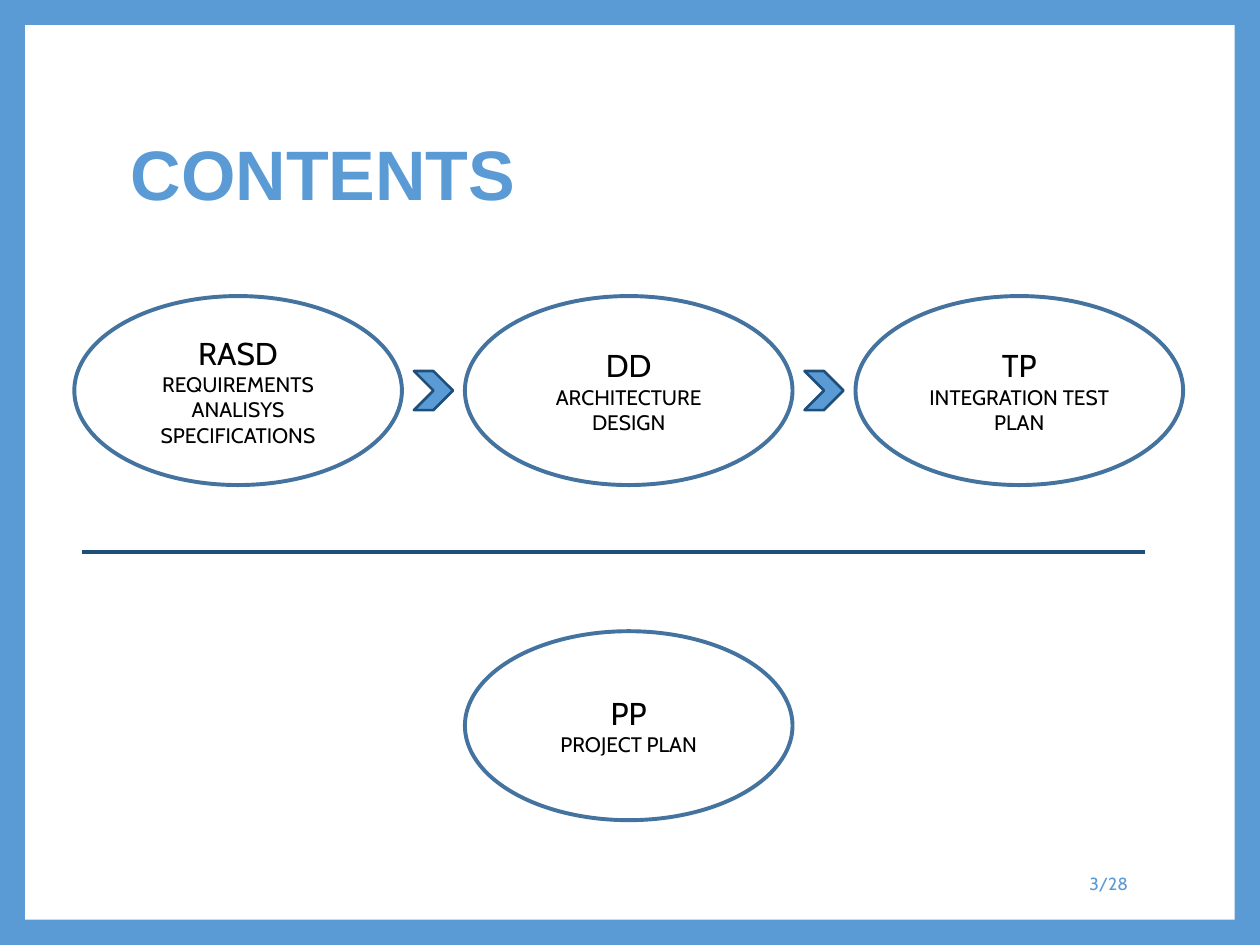
from dataclasses import dataclass

import lxml.etree
import pptx
import pptx.dml.color
import pptx.enum.shapes
import pptx.enum.text
import pptx.util

Inches = pptx.util.Inches
Shape = pptx.enum.shapes.MSO_SHAPE
Align = pptx.enum.text.PP_ALIGN

BLUE, OUTLINE, NAVY = "5B9BD5", "43739E", "1F4E79"
WHITE, BLACK = "FFFFFF", "000000"
COLUMN_LEFT, COLUMN_STEP = 0.59, 3.1
OVAL_WIDTH, OVAL_HEIGHT, CHEVRON_SIZE = 2.6, 1.5, 0.31
TOP_ROW, BOTTOM_ROW = 2.35, 5.01


@dataclass
class Document:
    """A project document shown as an oval on the grid."""

    acronym: str
    meaning: str
    column: int
    top: float

    @property
    def left(self) -> float:
        return COLUMN_LEFT + self.column * COLUMN_STEP


DOCUMENTS = [
    Document("RASD", "REQUIREMENTS ANALISYS SPECIFICATIONS", 0, TOP_ROW),
    Document("DD", "ARCHITECTURE DESIGN", 1, TOP_ROW),
    Document("TP", "INTEGRATION TEST PLAN", 2, TOP_ROW),
    Document("PP", "PROJECT PLAN", 1, BOTTOM_ROW),
]


def color(value: str) -> pptx.dml.color.RGBColor:
    return pptx.dml.color.RGBColor.from_string(value)


def add_run(paragraph, text: str, size: float, fill: str, font: str = "Cabin", bold: bool = False) -> None:
    run = paragraph.add_run()
    run.text = text
    run.font.size = pptx.util.Pt(size)
    run.font.name = font
    run.font.bold = bold
    run.font.color.rgb = color(fill)


def add_shape(slide, kind, left: float, top: float, width: float, height: float,
              fill: str | None = None, line: str | None = None, weight: float = 1):
    shape = slide.shapes.add_shape(kind, Inches(left), Inches(top), Inches(width), Inches(height))
    shape.shadow.inherit = False
    if fill:
        shape.fill.solid()
        shape.fill.fore_color.rgb = color(fill)
    else:
        shape.fill.background()
    if line:
        shape.line.color.rgb = color(line)
        shape.line.width = pptx.util.Pt(weight)
    else:
        shape.line.fill.background()
    return shape


def add_label(slide, left: float, top: float, width: float, height: float):
    frame = slide.shapes.add_textbox(Inches(left), Inches(top), Inches(width), Inches(height)).text_frame
    frame.word_wrap = True
    frame.vertical_anchor = pptx.enum.text.MSO_ANCHOR.MIDDLE
    return frame.paragraphs[0]


def add_document(slide, document: Document) -> None:
    oval = add_shape(slide, Shape.OVAL, document.left, document.top, OVAL_WIDTH, OVAL_HEIGHT,
                     line=OUTLINE, weight=2.25)
    frame = oval.text_frame
    frame.word_wrap = True
    frame.vertical_anchor = pptx.enum.text.MSO_ANCHOR.MIDDLE
    heading, detail = frame.paragraphs[0], frame.add_paragraph()
    add_run(heading, document.acronym, 18, BLACK)
    add_run(detail, document.meaning, 12, BLACK)
    heading.alignment = detail.alignment = Align.CENTER


def add_chevron(slide, column: int) -> None:
    gap_center = COLUMN_LEFT + column * COLUMN_STEP + (OVAL_WIDTH + COLUMN_STEP) / 2
    top = TOP_ROW + (OVAL_HEIGHT - CHEVRON_SIZE) / 2
    add_shape(slide, Shape.CHEVRON, gap_center - CHEVRON_SIZE / 2, top, CHEVRON_SIZE, CHEVRON_SIZE,
              BLUE, NAVY, 1.5)


def add_divider(slide, left: float, right: float, top: float) -> None:
    divider = slide.shapes.add_connector(pptx.enum.shapes.MSO_CONNECTOR.STRAIGHT,
                                         Inches(left), Inches(top), Inches(right), Inches(top))
    divider.line.color.rgb = color(NAVY)
    divider.line.width = pptx.util.Pt(2.25)
    lxml.etree.SubElement(divider._element.spPr, pptx.oxml.ns.qn("a:effectLst"))


def main() -> None:
    """Build the contents slide with its document flow."""
    presentation = pptx.Presentation()
    presentation.slide_width, presentation.slide_height = Inches(10), Inches(7.5)
    slide = presentation.slides.add_slide(presentation.slide_layouts[6])
    slide.background.fill.solid()
    slide.background.fill.fore_color.rgb = color(BLUE)
    add_shape(slide, Shape.RECTANGLE, 0.2, 0.2, 9.6, 7.1, fill=WHITE)

    title = add_label(slide, 0.94, 0.67, 8.1, 1.48)
    title.line_spacing = 0.9
    add_run(title, "CONTENTS", 40, BLUE, "Arial", True)

    for document in DOCUMENTS:
        add_document(slide, document)
    for column in range(2):
        add_chevron(slide, column)
    add_divider(slide, 0.65, 9.09, 4.38)

    page_number = add_label(slide, 7.65, 6.81, 1.4, 0.4)
    page_number.alignment = Align.RIGHT
    add_run(page_number, "3/28", 10, BLUE)
    presentation.save("out.pptx")


if __name__ == "__main__":
    main()
